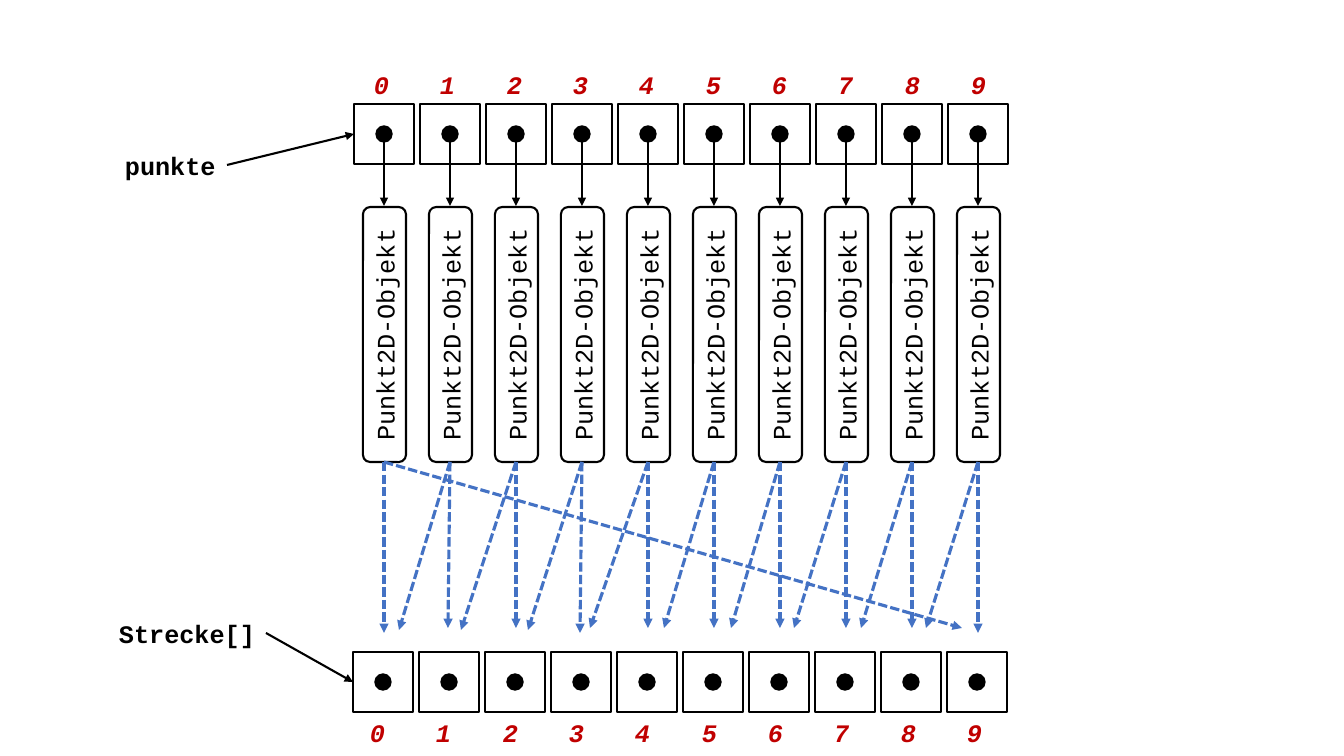
from lxml import etree
from pptx import Presentation
from pptx import util as u
from pptx.dml.color import RGBColor
from pptx.enum import dml, shapes, text
from pptx.oxml.ns import qn

PX = 914400 / 100.8
COUNT = 10
BLACK, RED, BLUE = "000000", "C00000", "4472C4"
TOP, LEFT, BOTTOM, RIGHT = range(4)


def px(length):
    return u.Emu(round(length * PX))


def colour(code):
    return RGBColor.from_string(code)


def spread(first, last):
    """Ten evenly spaced whole px values."""
    return [round(first + (last - first) * i / (COUNT - 1)) for i in range(COUNT)]


class Diagram:
    font = "Courier New"
    size = 18

    def __init__(self, page):
        self.page = page

    def add_span(self, para, words, ink=BLACK, bold=False, italic=False):
        span = para.add_run()
        span.text = words
        span.font.name = self.font
        span.font.size = u.Pt(self.size)
        span.font.bold = bold
        span.font.italic = italic
        span.font.color.rgb = colour(ink)

    def label(self, words, x, y, width, ink=BLACK, italic=False):
        box = self.page.shapes.add_textbox(px(x), px(y), px(width), px(40))
        frame = box.text_frame
        frame.word_wrap = False
        frame.auto_size = text.MSO_AUTO_SIZE.SHAPE_TO_FIT_TEXT
        self.add_span(frame.paragraphs[0], words, ink, True, italic)
        return box

    def shape(self, kind, x, y, width, height, weight=1.5, fill=None):
        box = self.page.shapes.add_shape(kind, px(x), px(y), px(width), px(height))
        box.shadow.inherit = False
        if fill:
            box.fill.solid()
            box.fill.fore_color.rgb = colour(fill)
        else:
            box.fill.background()
        box.line.color.rgb = colour(BLACK)
        box.line.width = u.Pt(weight)
        return box

    def cell(self, x, y):
        box = self.shape(shapes.MSO_SHAPE.RECTANGLE, x, y, 60, 60)
        self.shape(shapes.MSO_SHAPE.OVAL, x + 22, y + 22, 16, 16, 1, BLACK)
        return box

    def pill(self, words, centre):
        box = self.shape(shapes.MSO_SHAPE.ROUNDED_RECTANGLE, centre - 127, 313, 255, 43)
        box.rotation = 270
        frame = box.text_frame
        frame.vertical_anchor = text.MSO_ANCHOR.MIDDLE
        para = frame.paragraphs[0]
        para.alignment = text.PP_ALIGN.CENTER
        self.add_span(para, words)
        return box

    def arrow(self, start, end, source=None, target=None, ink=BLACK, weight=1.5, dashed=False):
        line = self.page.shapes.add_connector(
            shapes.MSO_CONNECTOR.STRAIGHT, *map(px, start + end))
        if source:
            line.begin_connect(*source)
        if target:
            line.end_connect(*target)
        # Joining ignores rotation, so the ends are set again
        line.begin_x, line.begin_y = map(px, start)
        line.end_x, line.end_y = map(px, end)
        line.line.color.rgb = colour(ink)
        line.line.width = u.Pt(weight)
        if dashed:
            line.line.dash_style = dml.MSO_LINE.SQUARE_DOT
        properties = line._element.spPr
        etree.SubElement(properties.find(qn("a:ln")), qn("a:tailEnd"), type="triangle")
        etree.SubElement(properties, qn("a:effectLst"))

    def array(self, name, name_at, name_width, cells_at, digits_at):
        """Row of indexed cells with its name pointing at the first one."""
        for index, x in enumerate(spread(digits_at[0], digits_at[0] + 597)):
            self.label(str(index), x, digits_at[1], 35, RED, True)
        left, top = cells_at
        cells = [self.cell(x, top) for x in spread(left, left + 594)]
        box = self.label(name, *name_at, name_width)
        self.arrow((name_at[0] + name_width, name_at[1] + 20), (left, top + 30),
                   (box, RIGHT), (cells[0], LEFT))


def main():
    deck = Presentation()
    deck.slide_width, deck.slide_height = px(1344), px(756)
    diagram = Diagram(deck.slides.add_slide(deck.slide_layouts[6]))

    # Both arrays
    diagram.array("punkte", (115, 145), 112, (354, 104), (364, 64))
    diagram.array("Strecke[]", (109, 613), 157, (353, 652), (360, 712))

    # Objects below the upper cells; turned by 270, their right side is on top
    centres = spread(384, 978)
    pills = []
    for centre in centres:
        pill = diagram.pill("Punkt2D-Objekt", centre)
        diagram.arrow((centre, 142), (centre, 206), target=(pill, RIGHT))
        pills.append(pill)

    # Dashed references: (object index, arrow tip)
    straight_tips = [(384, 633), (448, 628), (516, 628), (580, 633), (648, 628),
                     (714, 628), (780, 628), (846, 628), (912, 628), (978, 633)]
    slanted_tips = [(399, 630), (461, 630), (528, 630), (590, 628), (664, 628),
                    (731, 628), (794, 628), (861, 628), (926, 628)]
    references = [*enumerate(straight_tips), *enumerate(slanted_tips, 1), (0, (962, 628))]
    for index, tip in references:
        diagram.arrow((centres[index], 462), tip, (pills[index], LEFT),
                      ink=BLUE, weight=2.25, dashed=True)

    deck.save("out.pptx")


if __name__ == "__main__":
    main()
